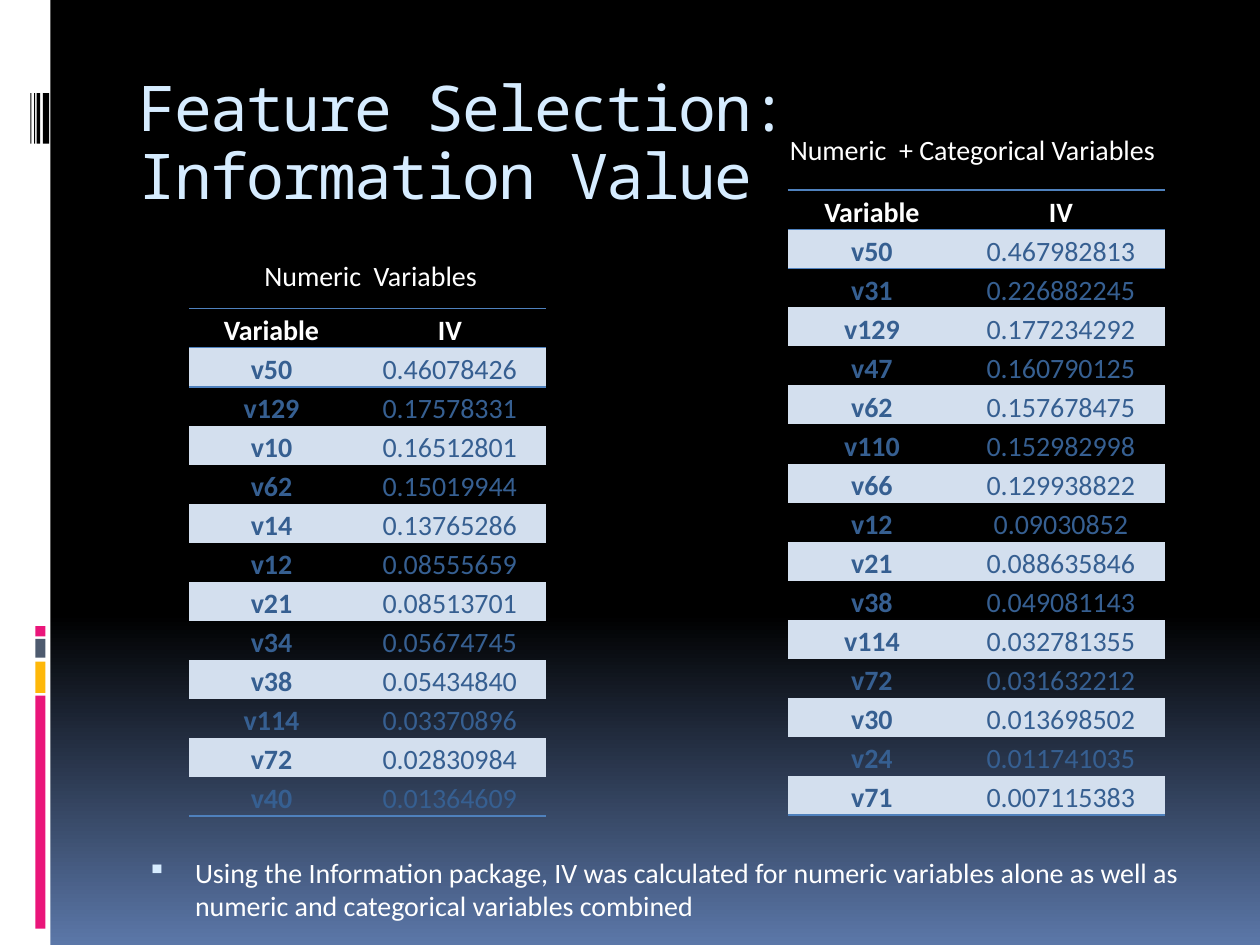
from copy import deepcopy

from pptx import Presentation
from pptx.dml.color import RGBColor
from pptx.enum.shapes import MSO_SHAPE
from pptx.enum.text import MSO_ANCHOR, PP_ALIGN
from pptx.oxml import parse_xml
from pptx.oxml.ns import nsdecls, qn
from pptx.util import Inches, Pt

RECT = MSO_SHAPE.RECTANGLE
CENTER = PP_ALIGN.CENTER
TOP, BOTTOM = MSO_ANCHOR.TOP, MSO_ANCHOR.BOTTOM

BLACK = RGBColor(0x00, 0x00, 0x00)
WHITE = RGBColor(0xFF, 0xFF, 0xFF)
DUSK = RGBColor(0x5B, 0x77, 0xA8)
PINK = RGBColor(0xEA, 0x15, 0x7A)
AMBER = RGBColor(0xFE, 0xB8, 0x0A)
SLATE = RGBColor(0x4E, 0x5B, 0x6F)
ICE = RGBColor(0xD6, 0xEC, 0xFF)
BAND = RGBColor(0xD3, 0xDF, 0xEE)
RULE = RGBColor(0x4F, 0x81, 0xBD)
NAVY = RGBColor(0x36, 0x5F, 0x91)

BODY_FONT, TITLE_FONT = "Calibri", "Noto Sans Mono"
BODY_SIZE, TITLE_SIZE = 16, 36
COLUMNS, ROWS = 10, 7.5
ROW_HEIGHT = 0.31
NO_STYLE = "{2D5ABB26-0587-4C30-8999-92F81FD0307C}"

NUMERIC = [
    ("v50", "0.46078426"), ("v129", "0.17578331"), ("v10", "0.16512801"),
    ("v62", "0.15019944"), ("v14", "0.13765286"), ("v12", "0.08555659"),
    ("v21", "0.08513701"), ("v34", "0.05674745"), ("v38", "0.05434840"),
    ("v114", "0.03370896"), ("v72", "0.02830984"), ("v40", "0.01364609"),
]
COMBINED = [
    ("v50", "0.467982813"), ("v31", "0.226882245"), ("v129", "0.177234292"),
    ("v47", "0.160790125"), ("v62", "0.157678475"), ("v110", "0.152982998"),
    ("v66", "0.129938822"), ("v12", "0.09030852"), ("v21", "0.088635846"),
    ("v38", "0.049081143"), ("v114", "0.032781355"), ("v72", "0.031632212"),
    ("v30", "0.013698502"), ("v24", "0.011741035"), ("v71", "0.007115383"),
]


class Deck:
    """Holds the style and current slide; lengths are grid columns and rows."""

    def __init__(self):
        self.prs = Presentation()
        self.prs.slide_width, self.prs.slide_height = Inches(10), Inches(7.5)
        self.s = self.prs.slides.add_slide(self.prs.slide_layouts[6])

    def box(self, x, y, w, h):
        """Turn grid columns and rows into slide lengths."""
        col = self.prs.slide_width / COLUMNS
        row = self.prs.slide_height / ROWS
        return [int(n) for n in (x * col, y * row, w * col, h * row)]

    def background(self, stops):
        fill = self.s.background.fill
        fill.gradient()
        fill.gradient_angle = 270
        stop_list = self.s.element.find(".//" + qn("a:gsLst"))
        stop_list.append(deepcopy(stop_list[-1]))
        for stop, (position, color) in zip(fill.gradient_stops, stops):
            stop.position = position
            stop.color.rgb = color

    def bar(self, x, y, w, h, color):
        sp = self.s.shapes.add_shape(RECT, *self.box(x, y, w, h))
        sp.shadow.inherit = False
        sp.fill.solid()
        sp.fill.fore_color.rgb = color
        sp.line.fill.background()

    def style(self, p, color, size=BODY_SIZE, font=BODY_FONT, bold=False):
        for r in p.runs:
            r.font.size, r.font.name, r.font.bold = Pt(size), font, bold
            r.font.color.rgb = color

    def text(self, x, y, w, h, text, color=WHITE, wrap=True, anchor=TOP, **font):
        sp = self.s.shapes.add_textbox(*self.box(x, y, w, h))
        tf = sp.text_frame
        tf.word_wrap, tf.vertical_anchor = wrap, anchor
        tf.text = text
        p = tf.paragraphs[0]
        self.style(p, color, **font)
        return tf, p

    def title(self, x, y, w, h, text):
        _, p = self.text(x, y, w, h, text, ICE, size=TITLE_SIZE, font=TITLE_FONT)
        p.line_spacing = 0.9
        for r in p.runs:
            r.font._element.set("spc", "-100")

    def bullet(self, x, y, w, h, text):
        tf, p = self.text(x, y, w, h, text, anchor=BOTTOM)
        tf.margin_bottom = Inches(0.18)
        pPr = p._p.get_or_add_pPr()
        pPr.set("marL", str(Inches(0.45)))
        pPr.set("indent", str(-Inches(0.38)))
        for xml in (
            f'<a:buClr {nsdecls("a")}><a:srgbClr val="{ICE}"/></a:buClr>',
            f'<a:buSzPct {nsdecls("a")} val="95000"/>',
            f'<a:buChar {nsdecls("a")} char="▪"/>',
        ):
            pPr.append(parse_xml(xml))

    def rule(self, cell, edges):
        """Draw the given cell edges, listed in schema order (lnT, lnB)."""
        tcPr = cell._tc.get_or_add_tcPr()
        for i, edge in enumerate(edges):
            tcPr.insert(i, parse_xml(
                f'<a:{edge} {nsdecls("a")} w="12700"><a:solidFill>'
                f'<a:srgbClr val="{RULE}"/></a:solidFill></a:{edge}>'))

    def table(self, x, y, widths, margin, records):
        rows = [("Variable", "IV")] + records
        last = len(rows) - 1
        frame = self.s.shapes.add_table(
            len(rows), len(widths),
            *self.box(x, y, sum(widths), ROW_HEIGHT * len(rows)))
        table = frame.table
        table.first_row = table.horz_banding = False
        table._tbl.tblPr.find(qn("a:tableStyleId")).text = NO_STYLE
        for column, width in zip(table.columns, widths):
            column.width = self.box(0, 0, width, 0)[2]
        for i, row in enumerate(rows):
            edges = ["lnT"] * (i in (0, 1)) + ["lnB"] * (i in (0, last))
            for j, value in enumerate(row):
                cell = table.cell(i, j)
                cell.margin_left = cell.margin_right = Inches(margin)
                cell.margin_top = cell.margin_bottom = 0
                if i % 2:
                    cell.fill.solid()
                    cell.fill.fore_color.rgb = BAND
                else:
                    cell.fill.background()
                self.rule(cell, edges)
                cell.text_frame.text = value
                p = cell.text_frame.paragraphs[0]
                p.alignment, p.line_spacing = CENTER, 1.15
                self.style(p, NAVY if i else WHITE, bold=i == 0 or j == 0)


def main():
    deck = Deck()
    deck.background([(0, BLACK), (0.65, BLACK), (1, DUSK)])

    deck.bar(0, 0, 0.4, ROWS, WHITE)
    for y, h, color in ((5.52, 1.85, PINK), (5.25, 0.25, AMBER),
                        (5.07, 0.15, SLATE), (4.97, 0.08, PINK)):
        deck.bar(0.28, y, 0.08, h, color)
    for x, w in ((0.34, 0.05), (0.29, 0.03), (0.27, 0.01), (0.24, 0.01)):
        deck.bar(x, 0.74, w, 0.4, BLACK)

    deck.title(1, 0.56, 8.5, 1, "Feature Selection:\vInformation Value")
    deck.bullet(1, 2, 8.5, 5.5,
                "Using the Information package, IV was calculated for numeric "
                "variables alone as well as numeric and categorical variables "
                "combined")
    deck.table(1.5, 2.45, (1.31, 1.52), 0.06, NUMERIC)
    deck.table(6.25, 1.51, (1.34, 1.66), 0.05, COMBINED)
    deck.text(2, 2, 1.94, 0.37, "Numeric  Variables", wrap=False)
    deck.text(6.17, 1, 3.16, 0.37, "Numeric  + Categorical Variables", wrap=False)

    deck.prs.save("out.pptx")


if __name__ == "__main__":
    main()
